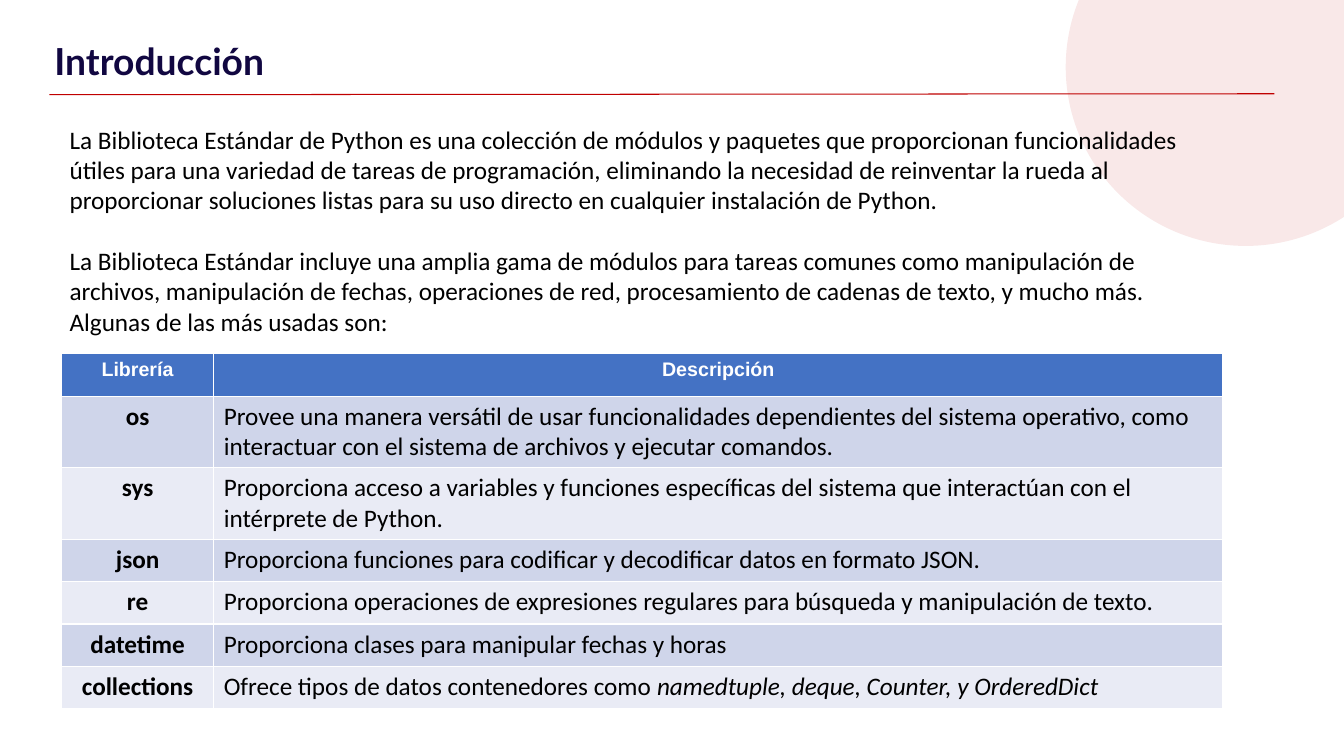
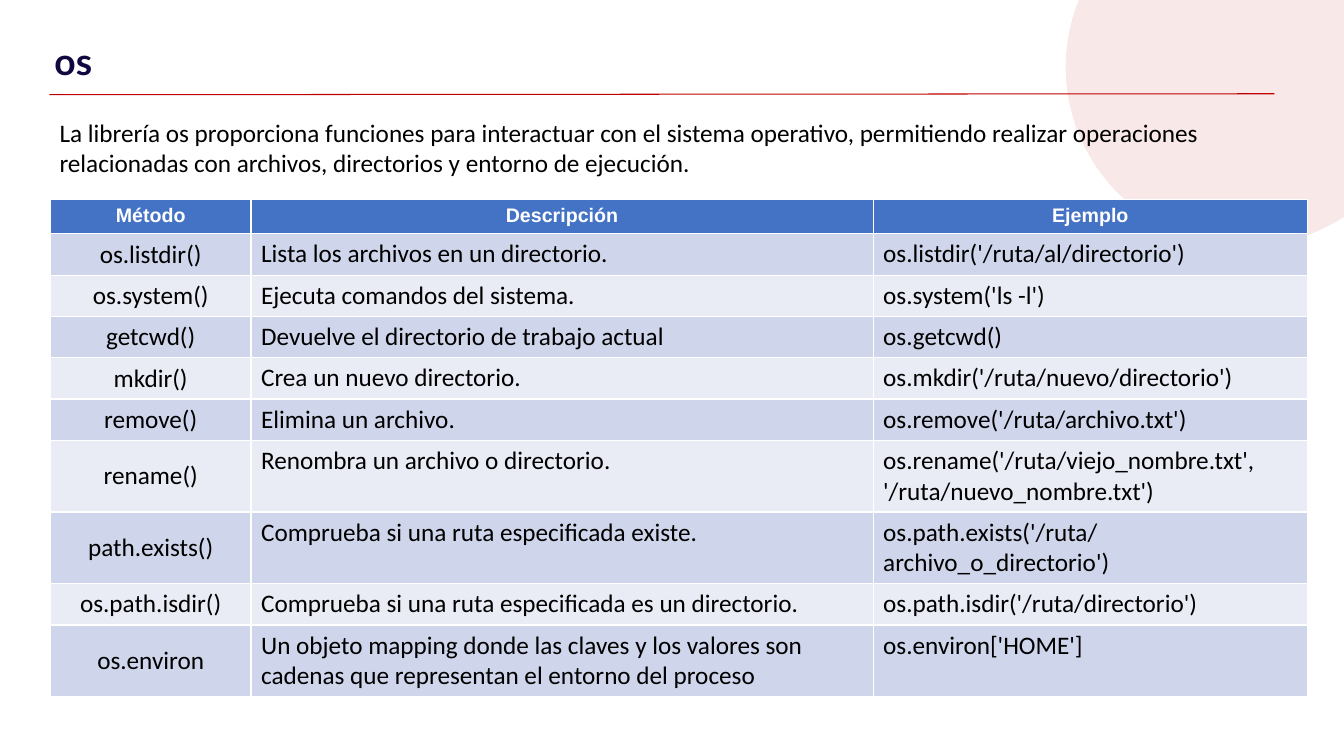
"""Build two slides on the Python standard library: an overview and the os module."""
from lxml import etree
from pptx import Presentation
from pptx import util as u
from pptx.dml.color import RGBColor
from pptx.enum import shapes, text
from pptx.oxml import ns

COLORS = {
    "accent": "C00000",
    "title": "110741",
    "text": "000000",
    "header": "4472C4",
    "header_text": "FFFFFF",
    "band_dark": "CFD5EA",
    "band_light": "E9EBF5",
}
GRID = u.Inches(0.1)
LINE = 3.05
CELL_PADDING = 1


def grid(*cells):
    """Turn grid cells into lengths."""
    return [u.Emu(round(count * GRID)) for count in cells]


def add_run(paragraph, words, font, size, color, bold=False, italic=False):
    """Add one formatted run to a paragraph."""
    run = paragraph.add_run()
    run.text = words
    run.font.name, run.font.size = font, u.Pt(size)
    run.font.bold, run.font.italic = bold, italic
    run.font.color.rgb = RGBColor.from_string(COLORS[color])


TOPICS = [
    {
        "title": "Introducción",
        "intro_box": (5.9, 11.8, 115.2, 20.9),
        "intro": [
            "La Biblioteca Estándar de Python es una colección de módulos y paquetes que proporcionan "
            "funcionalidades útiles para una variedad de tareas de programación, eliminando la necesidad "
            "de reinventar la rueda al proporcionar soluciones listas para su uso directo en cualquier "
            "instalación de Python.",
            "La Biblioteca Estándar incluye una amplia gama de módulos para tareas comunes como "
            "manipulación de archivos, manipulación de fechas, operaciones de red, procesamiento de "
            "cadenas de texto, y mucho más. Algunas de las más usadas son:",
        ],
        "table_at": (6.1, 35.1),
        "columns": (15.1, 100.1),
        "header_height": 4.2,
        "row_height": 4.2,
        "two_line_rows": (1, 2),
        "bold_names": True,
        "name_anchor": text.MSO_ANCHOR.TOP,
        "rows": [
            ("Librería", "Descripción"),
            ("os", "Provee una manera versátil de usar funcionalidades dependientes del sistema "
                   "operativo, como interactuar con el sistema de archivos y ejecutar comandos."),
            ("sys", "Proporciona acceso a variables y funciones específicas del sistema que "
                    "interactúan con el intérprete de Python."),
            ("json", "Proporciona funciones para codificar y decodificar datos en formato JSON."),
            ("re", "Proporciona operaciones de expresiones regulares para búsqueda y manipulación de texto."),
            ("datetime", "Proporciona clases para manipular fechas y horas"),
            ("collections", "Ofrece tipos de datos contenedores como *namedtuple, deque, Counter, y OrderedDict"),
        ],
    },
    {
        "title": "os",
        "intro_box": (4.9, 11.1, 116.1, 7.5),
        "intro": [
            "La librería os proporciona funciones para interactuar con el sistema operativo, permitiendo "
            "realizar operaciones relacionadas con archivos, directorios y entorno de ejecución.",
        ],
        "table_at": (5, 19.8),
        "columns": (19.9, 61.7, 43.1),
        "header_height": 3.4,
        "row_height": 4.1,
        "two_line_rows": (6, 7, 9),
        "bold_names": False,
        "name_anchor": text.MSO_ANCHOR.MIDDLE,
        "rows": [
            ("Método", "Descripción", "Ejemplo"),
            ("os.listdir()", "Lista los archivos en un directorio.", "os.listdir('/ruta/al/directorio')"),
            ("os.system()", "Ejecuta comandos del sistema.", "os.system('ls -l')"),
            ("getcwd()", "Devuelve el directorio de trabajo actual", "os.getcwd()"),
            ("mkdir()", "Crea un nuevo directorio.", "os.mkdir('/ruta/nuevo/directorio')"),
            ("remove()", "Elimina un archivo.", "os.remove('/ruta/archivo.txt')"),
            ("rename()", "Renombra un archivo o directorio.",
             "os.rename('/ruta/viejo_nombre.txt', '/ruta/nuevo_nombre.txt')"),
            ("path.exists()", "Comprueba si una ruta especificada existe.",
             "os.path.exists('/ruta/archivo_o_directorio')"),
            ("os.path.isdir()", "Comprueba si una ruta especificada es un directorio.",
             "os.path.isdir('/ruta/directorio')"),
            ("os.environ", "Un objeto mapping donde las claves y los valores son cadenas que representan "
                           "el entorno del proceso", "os.environ['HOME']"),
        ],
    },
]

deck = Presentation()
deck.slide_width, deck.slide_height = u.Inches(13.33), u.Inches(7.5)

for topic in TOPICS:
    slide = deck.slides.add_slide(deck.slide_layouts[1])
    accent = RGBColor.from_string(COLORS["accent"])

    corner_disc = slide.shapes.add_shape(shapes.MSO_SHAPE.OVAL, *grid(105.7, -11.1, 35.7, 35.5))
    corner_disc.shadow.inherit = False
    corner_disc.line.fill.background()
    corner_disc.fill.solid()
    corner_disc.fill.fore_color.rgb = accent
    tint = corner_disc.element.spPr.find(".//" + ns.qn("a:srgbClr"))
    etree.SubElement(tint, ns.qn("a:alpha"), val="9000")

    title_rule = slide.shapes.add_connector(shapes.MSO_CONNECTOR.STRAIGHT, *grid(4.9, 9.4, 126.4, 9.3))
    title_rule.line.color.rgb = accent
    title_rule.line.width = u.Pt(0.75)
    etree.SubElement(title_rule.element.spPr, ns.qn("a:effectLst"))

    for depth, backdrop in enumerate((corner_disc, title_rule), start=2):
        backdrop.element.getparent().insert(depth, backdrop.element)

    title = slide.shapes.title
    title.left, title.top, title.width, title.height = grid(4.1, 0, 114.7, 7.6)
    heading = title.text_frame
    heading.auto_size = text.MSO_AUTO_SIZE.NONE
    heading.vertical_anchor = text.MSO_ANCHOR.TOP
    heading.margin_left = heading.margin_right = u.Inches(0.13)
    heading.margin_top = heading.margin_bottom = u.Inches(0.38)
    heading.paragraphs[0].alignment = text.PP_ALIGN.LEFT
    add_run(heading.paragraphs[0], topic["title"], "Lato", 26.6, "title", bold=True)

    intro = slide.placeholders[1]
    intro.left, intro.top, intro.width, intro.height = grid(*topic["intro_box"])
    intro.text_frame.auto_size = text.MSO_AUTO_SIZE.NONE
    for index, words in enumerate(topic["intro"]):
        paragraph = intro.text_frame.add_paragraph() if index else intro.text_frame.paragraphs[0]
        paragraph.space_before = u.Pt(22 if index else 0)
        properties = paragraph._p.get_or_add_pPr()
        properties.set("marL", "0")
        properties.set("indent", "0")
        etree.SubElement(properties, ns.qn("a:buNone"))
        add_run(paragraph, words, "Calibri", 18, "text")

    rows, columns = topic["rows"], topic["columns"]
    heights = [topic["header_height"]] + [
        2 * LINE + CELL_PADDING if number in topic["two_line_rows"] else topic["row_height"]
        for number in range(1, len(rows))
    ]
    frame = grid(*topic["table_at"], sum(columns), sum(heights))
    reference = slide.shapes.add_table(len(rows), len(columns), *frame).table
    for column, width in zip(reference.columns, grid(*columns)):
        column.width = width
    for row, height in zip(reference.rows, grid(*heights)):
        row.height = height

    for row_number, entries in enumerate(rows):
        is_header = row_number == 0
        band = "header" if is_header else "band_dark" if row_number % 2 else "band_light"
        for column_number, entry in enumerate(entries):
            is_name = column_number == 0
            cell = reference.cell(row_number, column_number)
            cell.fill.solid()
            cell.fill.fore_color.rgb = RGBColor.from_string(COLORS[band])
            if is_name and not is_header:
                cell.vertical_anchor = topic["name_anchor"]
            paragraph = cell.text_frame.paragraphs[0]
            if is_header or is_name:
                paragraph.alignment = text.PP_ALIGN.CENTER
            if is_header:
                add_run(paragraph, entry, "Arial", 14, "header_text", bold=True)
                continue
            plain, _, emphasis = entry.partition("*")
            add_run(paragraph, plain, "Calibri", 18, "text", bold=is_name and topic["bold_names"])
            if emphasis:
                add_run(paragraph, emphasis, "Calibri", 18, "text", italic=True)

deck.save("out.pptx")
